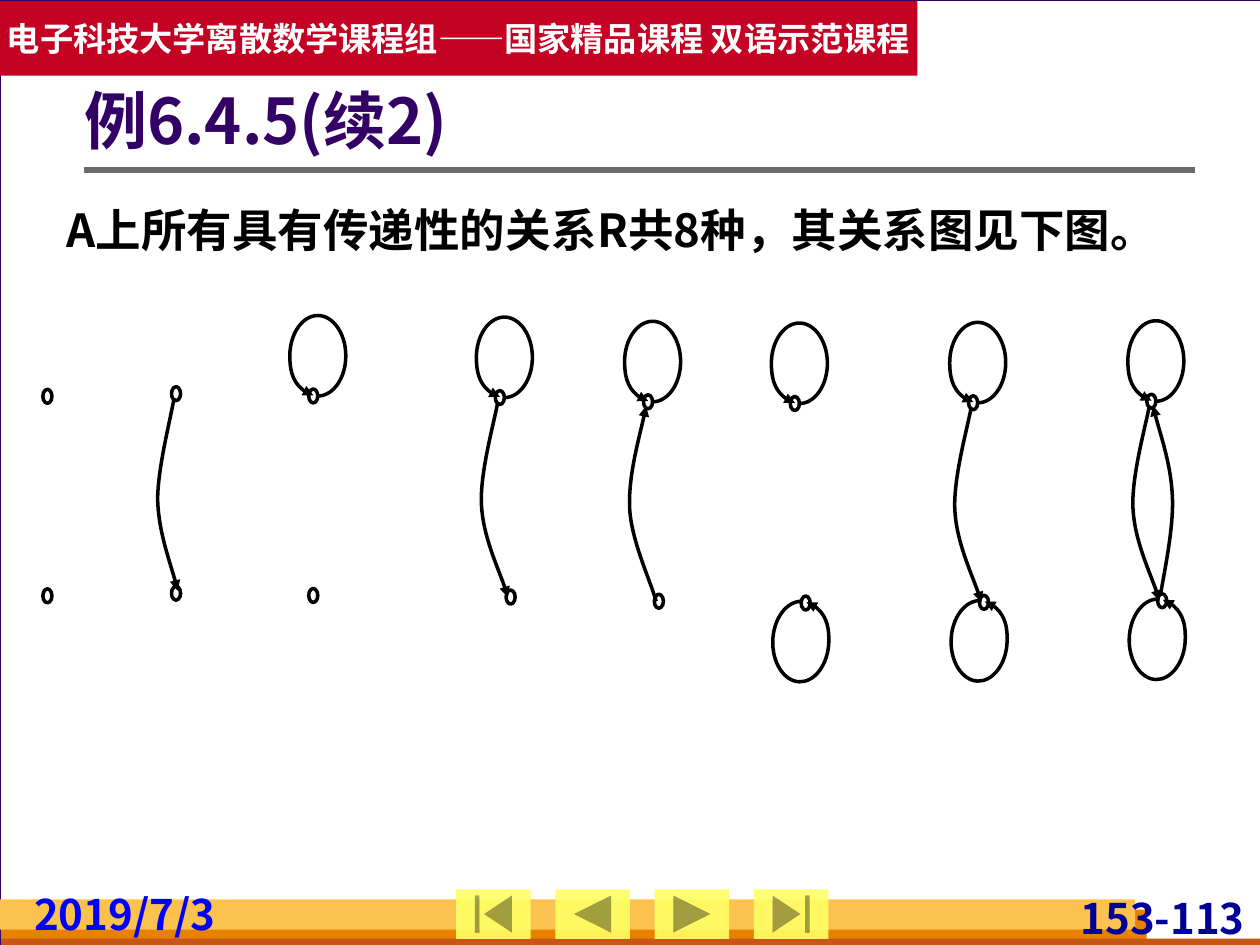
from dataclasses import dataclass
from typing import Optional

import pptx
import pptx.dml.color
import pptx.enum.shapes
import pptx.enum.text
import pptx.oxml
import pptx.oxml.ns
import pptx.util

Pt = pptx.util.Pt
RGB = pptx.dml.color.RGBColor
SHAPE = pptx.enum.shapes.MSO_SHAPE
ALIGN = pptx.enum.text.PP_ALIGN
ANCHOR = pptx.enum.text.MSO_ANCHOR
FIT = pptx.enum.text.MSO_AUTO_SIZE
qn = pptx.oxml.ns.qn

FONT = "Noto Sans CJK SC"
BACKDROP = RGB(0xD8, 0xDA, 0xDA)
WHITE = RGB(0xFF, 0xFF, 0xFF)
BLACK = RGB(0x00, 0x00, 0x00)
PURPLE = RGB(0x33, 0x00, 0x66)
RED = RGB(0xC3, 0x02, 0x24)
ORANGE = RGB(0xE8, 0x80, 0x00)
RUST = RGB(0xC9, 0x56, 0x16)
AMBER = RGB(0xFC, 0xC2, 0x4F)
YELLOW = RGB(0xFF, 0xFF, 0x66)
GRAY = RGB(0x6B, 0x6B, 0x6B)
NAVY = RGB(0x00, 0x00, 0x99)
BLUE = RGB(0x00, 0x00, 0xFF)

Point = tuple[float, float]
Box = tuple[float, float, float, float]


@dataclass(frozen=True)
class Curve:
    start: Point
    segments: tuple[tuple[Point, Point, Point], ...]


@dataclass(frozen=True)
class Arc:
    curve: Curve
    arrow: str = "tailEnd"


@dataclass(frozen=True)
class Relation:
    left: float
    top: float
    lower_shift: float = 0
    upper_loop: bool = False
    lower_loop: bool = False
    arcs: tuple[Arc, ...] = ()


@dataclass(frozen=True)
class Label:
    text: str
    box: Box
    size: float
    color: RGB
    align: Optional[ALIGN] = None
    anchor: ANCHOR = ANCHOR.TOP
    margins: Box = (7.2, 3.6, 7.2, 3.6)
    spacing: Optional[float] = None


NODE_W, NODE_H, NODE_DROP, LEAN = 5.2, 8, 114, 6.2
LOOP_W, LOOP_H = 32, 46
LOOP = Curve((16, 0), (
    ((7.2, 0), (0, 10.3), (0, 23)),
    ((0, 35.6), (7.2, 46), (16, 46)),
    ((24.8, 46), (32, 35.6), (32, 23)),
    ((32, 11.6), (26.5, 2.2), (18.5, 0.4)),
))
DOWN = Curve((1.5, 6.4), (
    ((0, 16), (-8.6, 45.6), (-7.9, 64.3)),
    ((-7.2, 82.8), (4.2, 106.8), (7.3, 118)),
))
DOWN_STRAIGHT = Curve((1.5, 6.4), (
    ((0, 16.4), (-7.9, 46), (-7.9, 64.6)),
    ((-7.4, 82.8), (1.3, 106), (3.5, 116.6)),
))
UP = Curve((8, 114), (
    ((9.4, 104.5), (15.8, 75.8), (14.6, 57.6)),
    ((13.7, 39.6), (5.8, 17.3), (3.6, 6.5)),
))

RELATIONS = (
    Relation(24.5, 222.5),
    Relation(98, 221, arcs=(Arc(DOWN_STRAIGHT),)),
    Relation(176.4, 222.3, upper_loop=True),
    Relation(283, 223.2, LEAN, True, arcs=(Arc(DOWN),)),
    Relation(367.7, 225.6, LEAN, True, arcs=(Arc(DOWN, "headEnd"),)),
    Relation(451.6, 226.6, LEAN, True, True),
    Relation(553.5, 226.2, LEAN, True, True, (Arc(DOWN),)),
    Relation(655.3, 225.3, LEAN, True, True, (Arc(DOWN), Arc(UP))),
)

PANELS = (
    ((0, 0, 720.7, 540), WHITE, PURPLE),
    ((0, 0.7, 524.2, 42.5), RED, None),
    ((0.7, 519.8, 654.5, 20.2), ORANGE, None),
    ((0.7, 536.4, 720, 5.8), RUST, None),
    ((0, 514, 648.7, 17.3), AMBER, None),
)
BUTTONS = (
    SHAPE.ACTION_BUTTON_BEGINNING,
    SHAPE.ACTION_BUTTON_BACK_OR_PREVIOUS,
    SHAPE.ACTION_BUTTON_FORWARD_OR_NEXT,
    SHAPE.ACTION_BUTTON_END,
)
FOOTER_MARGINS = (2.9, 0, 2.9, 0)
LABELS = (
    Label("153-113", (609.8, 509.8, 104.4, 28.8), 24, NAVY, ALIGN.RIGHT, margins=FOOTER_MARGINS),
    Label("2019/7/3", (16.6, 507.6, 118.8, 28.8), 24, BLUE, margins=FOOTER_MARGINS),
    Label("例6.4.5(续2)", (48.2, 48.2, 635, 46), 36, PURPLE, None, ANCHOR.MIDDLE, (0, 3.6, 7.2, 3.6), 0.9),
    Label("A上所有具有传递性的关系R共8种，其关系图见下图。", (31, 105.8, 671.8, 44.6), 26, BLACK,
          ALIGN.JUSTIFY, spacing=1.2),
)


def write(frame, text: str, size: float, color: RGB, align: Optional[ALIGN]) -> None:
    frame.text = text
    paragraph = frame.paragraphs[0]
    paragraph.alignment = align
    font = paragraph.runs[0].font
    font.size, font.bold, font.name = Pt(size), True, FONT
    font.color.rgb = color
    east_asian = pptx.oxml.parse_xml(f'<a:ea {pptx.oxml.ns.nsdecls("a")} typeface="{FONT}"/>')
    paragraph.runs[0].font._element.append(east_asian)


def add_label(slide, label: Label) -> None:
    frame = slide.shapes.add_textbox(*map(Pt, label.box)).text_frame
    frame.word_wrap = True
    frame.auto_size = FIT.SHAPE_TO_FIT_TEXT
    frame.vertical_anchor = label.anchor
    frame.margin_left, frame.margin_top, frame.margin_right, frame.margin_bottom = map(Pt, label.margins)
    write(frame, label.text, label.size, label.color, label.align)
    frame.paragraphs[0].line_spacing = label.spacing


def add_panel(slide, kind: SHAPE, box: Box, fill: RGB, line: Optional[RGB] = None):
    panel = slide.shapes.add_shape(kind, *map(Pt, box))
    panel.shadow.inherit = False
    panel.fill.solid()
    panel.fill.fore_color.rgb = fill
    if line is None:
        panel.line.fill.background()
    else:
        panel.line.color.rgb = line
        panel.line.width = Pt(0.75)
    return panel


def ink(shape) -> None:
    shape.shadow.inherit = False
    shape.fill.background()
    shape.line.color.rgb = BLACK
    shape.line.width = Pt(2)


def add_node(slide, left: float, top: float) -> None:
    ink(slide.shapes.add_shape(SHAPE.OVAL, Pt(left), Pt(top), Pt(NODE_W), Pt(NODE_H)))


def add_curve(slide, curve: Curve, left: float, top: float, arrow: str = "tailEnd", rotation: float = 0) -> None:
    def place(point: Point) -> tuple[int, int]:
        return Pt(left + point[0]), Pt(top + point[1])

    builder = slide.shapes.build_freeform(*place(curve.start))
    builder.add_line_segments([place(segment[-1]) for segment in curve.segments], close=False)
    stroke = builder.convert_to_shape()
    ink(stroke)
    stroke.rotation = rotation
    namespace = pptx.oxml.ns.nsdecls("a")
    for straight, segment in zip(list(stroke._element.iter(qn("a:lnTo"))), curve.segments):
        points = "".join(f'<a:pt x="{x - stroke.left}" y="{y - stroke.top}"/>' for x, y in map(place, segment))
        bend = pptx.oxml.parse_xml(f"<a:cubicBezTo {namespace}>{points}</a:cubicBezTo>")
        straight.getparent().replace(straight, bend)
    stroke.line._get_or_add_ln().append(pptx.oxml.parse_xml(f'<a:{arrow} {namespace} type="triangle"/>'))


def add_relation(slide, relation: Relation) -> None:
    left, top = relation.left, relation.top
    lower_left, lower_top = left + relation.lower_shift, top + NODE_DROP
    if relation.upper_loop:
        add_curve(slide, LOOP, left - 10.8, top - 42, rotation=180)
    add_node(slide, left, top)
    add_node(slide, lower_left, lower_top)
    for arc in relation.arcs:
        add_curve(slide, arc.curve, left, top, arc.arrow)
    if relation.lower_loop:
        add_curve(slide, LOOP, lower_left - 16.2, lower_top + 3, rotation=2)


def main() -> None:
    deck = pptx.Presentation()
    deck.slide_width, deck.slide_height = Pt(720), Pt(540)
    slide = deck.slides.add_slide(deck.slide_layouts[6])
    slide.background.fill.solid()
    slide.background.fill.fore_color.rgb = BACKDROP

    panels = [add_panel(slide, SHAPE.RECTANGLE, *panel) for panel in PANELS]
    banner = panels[1].text_frame
    banner.word_wrap = False
    banner.vertical_anchor = ANCHOR.MIDDLE
    write(banner, "电子科技大学离散数学课程组——国家精品课程 双语示范课程", 19, WHITE, ALIGN.CENTER)

    rule = slide.shapes.add_connector(pptx.enum.shapes.MSO_CONNECTOR.STRAIGHT, Pt(48), Pt(97.2), Pt(683), Pt(97.2))
    rule.line.color.rgb = GRAY
    rule.line.width = Pt(3)
    rule._element.spPr.append(pptx.oxml.parse_xml(f'<a:effectLst {pptx.oxml.ns.nsdecls("a")}/>'))

    for column, kind in enumerate(BUTTONS):
        button = add_panel(slide, kind, (260.7 + 56.7 * column, 508.2, 42.5, 28.3), YELLOW)
        tint = button._element.spPr.find(qn("a:solidFill"))[0]
        tint.append(pptx.oxml.parse_xml(f'<a:alpha {pptx.oxml.ns.nsdecls("a")} val="90000"/>'))
    for label in LABELS:
        add_label(slide, label)
    for relation in RELATIONS:
        add_relation(slide, relation)
    deck.save("out.pptx")


if __name__ == "__main__":
    main()
